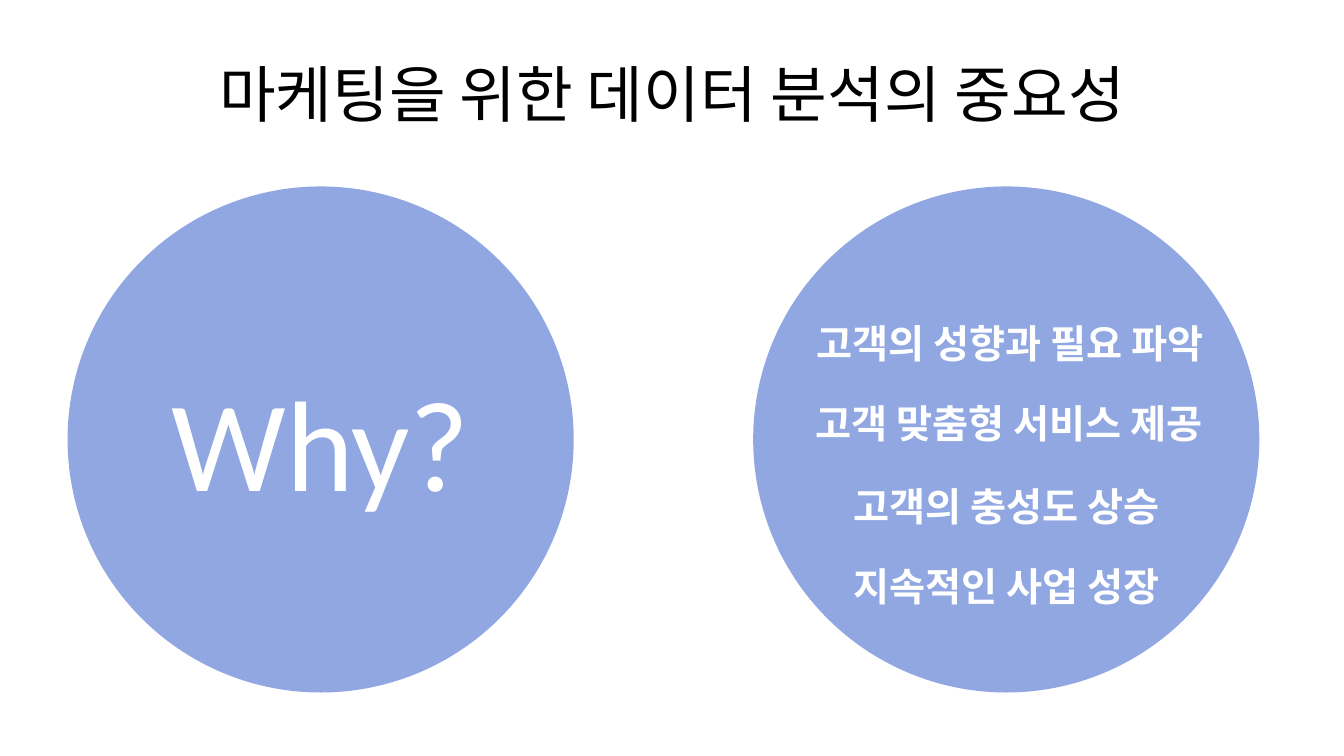
from lxml.etree import SubElement
from pptx import Presentation
from pptx.dml.color import RGBColor
from pptx.enum.shapes import MSO_SHAPE
from pptx.enum.text import MSO_ANCHOR, PP_ALIGN
from pptx.oxml.ns import qn
from pptx.util import Inches, Pt

COLORS = {"ink": "000000", "white": "FFFFFF", "disc": "6182D6"}
DISC_TOP, DISC_SIZE = 1.85, 5.02
REASONS = [
    ("고객의 성향과 필요 파악", 7.82, 3.12, 4.39, False),
    ("고객 맞춤형 서비스 제공", 7.81, 3.91, 4.39, False),
    ("고객의 충성도 상승", 7.68, 4.74, 4.61, True),
    ("지속적인 사업 성장", 7.99, 5.53, 3.98, True),
]


def color(name):
    return RGBColor.from_string(COLORS[name])


def write(shape, text, size, ink="white", bold=False, wrap=True,
          anchor=MSO_ANCHOR.MIDDLE):
    frame = shape.text_frame
    frame.word_wrap = wrap
    frame.vertical_anchor = anchor
    para = frame.paragraphs[0]
    para.alignment = PP_ALIGN.CENTER
    run = para.add_run()
    run.text = text
    style = {"name": "Calibri", "size": Pt(size), "bold": bold}
    for key, value in style.items():
        setattr(run.font, key, value)
    run.font.color.rgb = color(ink)


def add_label(slide, box, text, size, **style):
    label = slide.shapes.add_textbox(*map(Inches, box))
    write(label, text, size, **style)


def add_disc(slide, left, alpha=70):
    """Add a borderless disc whose opacity is alpha percent."""
    box = (left, DISC_TOP, DISC_SIZE, DISC_SIZE)
    disc = slide.shapes.add_shape(
        MSO_SHAPE.FLOWCHART_CONNECTOR, *map(Inches, box))
    disc.shadow.inherit = False
    disc.line.fill.background()
    disc.fill.solid()
    disc.fill.fore_color.rgb = color("disc")
    tint = disc.fill._xPr.find(qn("a:solidFill"))[0]
    SubElement(tint, qn("a:alpha"), val=str(alpha * 1000))
    return disc


def main():
    deck = Presentation()
    deck.slide_width, deck.slide_height = Inches(13.33), Inches(7.5)
    slide = deck.slides.add_slide(deck.slide_layouts[6])
    add_label(slide, (0.67, 0.3, 12, 1.25),
              "마케팅을 위한 데이터 분석의 중요성", 44, ink="ink")
    write(add_disc(slide, 0.67), "Why?", 92)
    add_disc(slide, 7.47)
    for text, left, top, width, wrap in REASONS:
        add_label(slide, (left, top, width, 0.57), text, 28,
                  bold=True, wrap=wrap, anchor=MSO_ANCHOR.TOP)
    deck.save("out.pptx")


if __name__ == "__main__":
    main()
